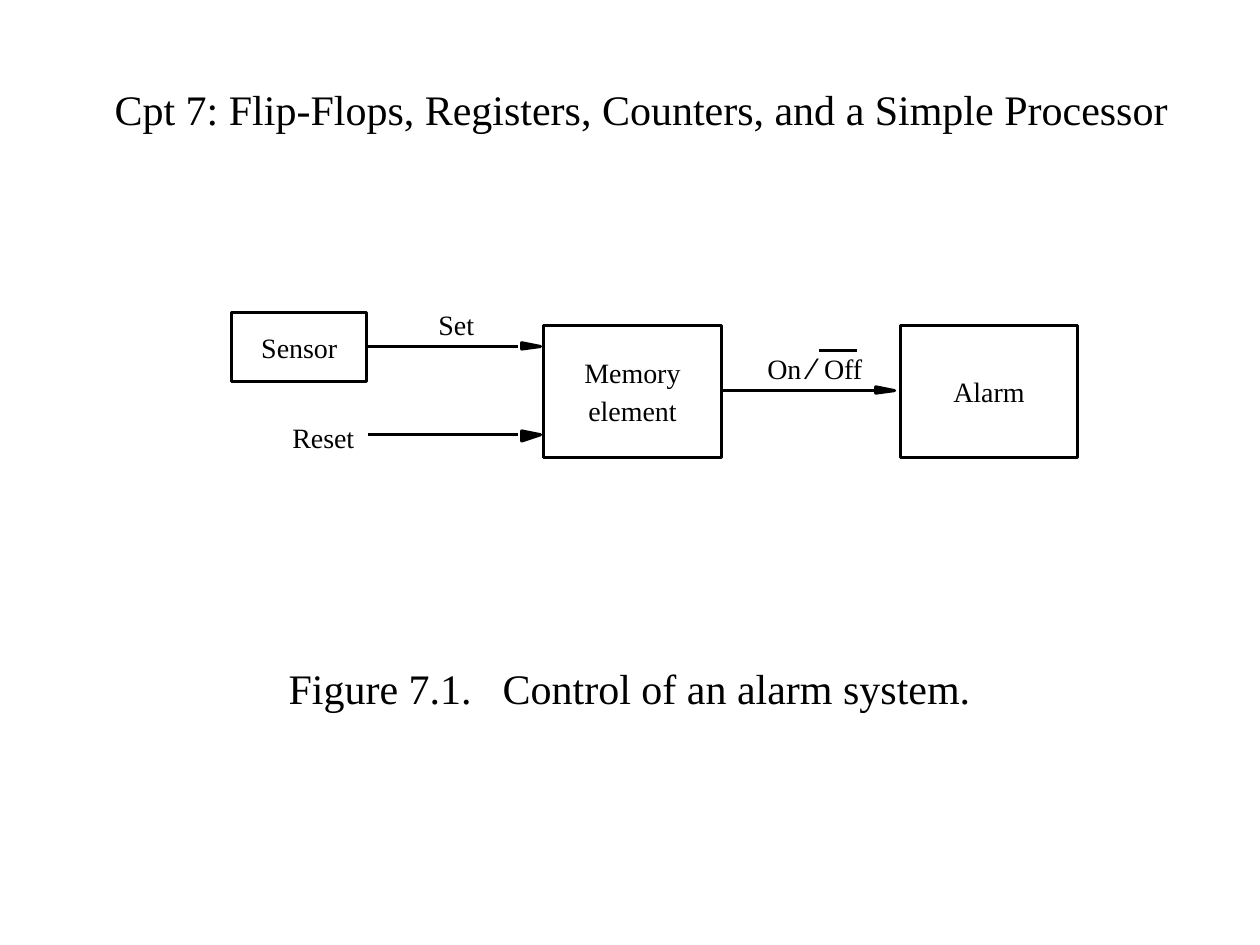
from lxml.etree import SubElement
from pptx import Presentation
from pptx.dml.color import RGBColor
from pptx.enum.shapes import MSO_CONNECTOR, MSO_SHAPE
from pptx.enum.text import MSO_ANCHOR, PP_ALIGN
from pptx.oxml.ns import qn
from pptx.util import Inches, Pt

SERIF = "Times New Roman"
INK = "000000"
PAPER = "FFFFFF"


def paint(color, value):
    color.rgb = RGBColor.from_string(value)


def style(par, size, name=SERIF):
    par.font.size = Pt(size)
    par.font.name = name
    par.font.bold = False
    paint(par.font.color, INK)


def finish(shape, fill):
    shape.shadow.inherit = False
    shape.fill.solid()
    paint(shape.fill.fore_color, fill)
    paint(shape.line.color, INK)
    shape.line.width = Pt(1.75)


def block(slide, x, y, w, h, *lines):
    shape = slide.shapes.add_shape(
        MSO_SHAPE.RECTANGLE, Inches(x), Inches(y), Inches(w), Inches(h))
    finish(shape, PAPER)
    frame = shape.text_frame
    frame.vertical_anchor = MSO_ANCHOR.MIDDLE
    for i, line in enumerate(lines):
        par = frame.add_paragraph() if i else frame.paragraphs[0]
        par.text = line
        par.alignment = PP_ALIGN.CENTER
        if i:
            par.space_before = Pt(3)
        style(par, 16)


def label(slide, x, y, w, text, size=16, name=SERIF):
    box = slide.shapes.add_textbox(Inches(x), Inches(y), Inches(w), Inches(0.27))
    frame = box.text_frame
    frame.word_wrap = False
    frame.margin_left = frame.margin_right = 0
    frame.margin_top = frame.margin_bottom = 0
    frame.text = text
    style(frame.paragraphs[0], size, name)


def rule(slide, x, y, end):
    line = slide.shapes.add_connector(
        MSO_CONNECTOR.STRAIGHT, Inches(x), Inches(y), Inches(end), Inches(y))
    paint(line.line.color, INK)
    line.line.width = Pt(1.75)
    SubElement(line._element.spPr, qn("a:effectLst"))


def arrow(slide, x, y, end, gap=0, low=0.02):
    """Line from x to end, then a slim solid head after the gap."""
    rule(slide, x, y, end)
    base = end + gap
    points = [(base, y + low), (base + 0.15, y), (base, y - 0.03)]
    spots = [(Inches(a), Inches(b)) for a, b in points]
    path = slide.shapes.build_freeform(*spots[0])
    path.add_line_segments(spots[1:], close=True)
    finish(path.convert_to_shape(), INK)


def heading(slide, x, y, w, h):
    title = slide.shapes.title
    title.left, title.top = Inches(x), Inches(y)
    title.width, title.height = Inches(w), Inches(h)
    frame = title.text_frame
    frame.text = "Cpt 7: Flip-Flops, Registers, Counters, and a Simple Processor"
    frame.vertical_anchor = MSO_ANCHOR.MIDDLE
    frame.paragraphs[0].alignment = PP_ALIGN.LEFT
    style(frame.paragraphs[0], 24)


def diagram(slide, x, y):
    # Blocks
    block(slide, x, y, 1.07, 0.55, "Sensor")
    block(slide, x + 2.47, y + 0.1, 1.42, 1.05, "Memory", "element")
    block(slide, x + 5.31, y + 0.1, 1.4, 1.05, "Alarm")

    # Signals
    arrow(slide, x + 1.08, y + 0.27, x + 2.27, gap=0.03)
    arrow(slide, x + 1.08, y + 0.97, x + 2.27, gap=0.03, low=0.05)
    arrow(slide, x + 3.89, y + 0.62, x + 5.11)

    # Signal names, with a bar over Off
    label(slide, x + 1.64, y - 0.04, 0.39, "Set")
    label(slide, x + 0.48, y + 0.86, 0.63, "Reset")
    label(slide, x + 4.25, y + 0.31, 0.31, "On")
    label(slide, x + 4.59, y + 0.3, 0.16, "⁄", 17, "Arial")
    label(slide, x + 4.7, y + 0.31, 0.38, "Off")
    rule(slide, x + 4.66, y + 0.3, x + 4.96)


def caption(slide, x, y, w, h):
    box = slide.shapes.add_textbox(Inches(x), Inches(y), Inches(w), Inches(h))
    frame = box.text_frame
    frame.word_wrap = True
    frame.margin_left = Inches(0.86)
    par = frame.paragraphs[0]
    par.text = "Figure 7.1.\tControl of an alarm system."
    tabs = SubElement(par._p.get_or_add_pPr(), qn("a:tabLst"))
    SubElement(tabs, qn("a:tab"), pos=str(Inches(1.7)), algn="l")
    style(par, 24)


def main():
    deck = Presentation()
    deck.slide_width, deck.slide_height = Inches(10), Inches(7.5)
    slide = deck.slides.add_slide(deck.slide_layouts[5])
    heading(slide, 0.81, 0.61, 8.58, 0.5)
    diagram(slide, 1.84, 2.48)
    caption(slide, 1.43, 5.21, 7.12, 0.53)
    deck.save("out.pptx")


if __name__ == "__main__":
    main()
